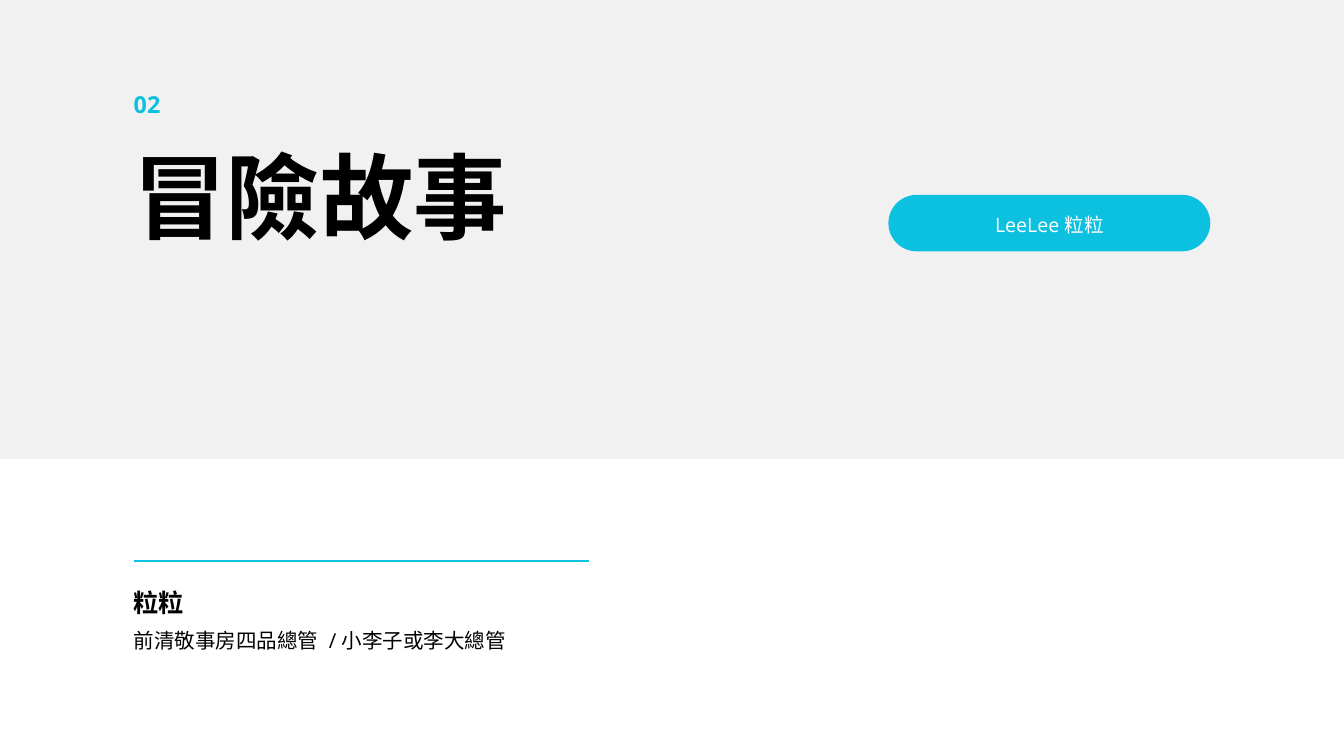
from pptx import Presentation
from pptx.dml.color import RGBColor
from pptx.enum import shapes, text
from pptx.oxml import ns
from pptx.util import Inches, Pt
from lxml import etree

COLORS = {"band": "F1F1F1", "accent": "0CC0DF", "ink": "000000", "white": "FFFFFF"}
FONT = "Open Sans"
LEFT = 1.99
COLUMN = 6.78


def rgb(name):
    return RGBColor.from_string(COLORS[name])


def write(box, wording, size, leading, color="ink", bold=False, align="LEFT"):
    """Set one line of text with exact line spacing and no margins."""
    frame = box.text_frame
    frame.text = wording
    frame.word_wrap = True
    frame.auto_size = text.MSO_AUTO_SIZE.NONE
    frame.vertical_anchor = text.MSO_ANCHOR.TOP
    frame.margin_left = frame.margin_right = 0
    frame.margin_top = frame.margin_bottom = 0
    paragraph = frame.paragraphs[0]
    paragraph.alignment = getattr(text.PP_ALIGN, align)
    paragraph.line_spacing = Pt(leading)
    paragraph.space_before = Pt(0)
    font = paragraph.runs[0].font
    font.name, font.size, font.bold = FONT, Pt(size), bold
    font.color.rgb = rgb(color)
    east_asian = etree.SubElement(paragraph.runs[0].font._element, ns.qn("a:ea"))
    east_asian.set("typeface", FONT)


prs = Presentation()
prs.slide_width, prs.slide_height = Inches(20), Inches(11.25)
slide = prs.slides.add_slide(prs.slide_layouts[5])

# Grey band and rounded name tag
for kind, place, color in [
    (shapes.MSO_SHAPE.RECTANGLE, (0, 0, 20, 6.83), "band"),
    (shapes.MSO_SHAPE.ROUNDED_RECTANGLE, (13.22, 2.9, 4.79, 0.84), "accent"),
]:
    panel = slide.shapes.add_shape(kind, *map(Inches, place))
    panel.shadow.inherit = False
    panel.fill.solid()
    panel.fill.fore_color.rgb = rgb(color)
    panel.line.fill.background()
panel.adjustments[0] = 0.5

# The title goes in front of the band
title = slide.shapes.title
title.element.getparent().append(title.element)
title.left, title.top = Inches(LEFT), Inches(2.21)
title.width, title.height = Inches(10), Inches(1.56)
write(title, "冒險故事", 100, 110, bold=True)

for place, wording, size, leading, style in [
    ((13.66, 3.11, 3.91, 0.39), "LeeLee 粒粒", 21, 29.4,
     {"color": "white", "align": "CENTER"}),
    ((LEFT, 1.38, 0.62, 0.39), "02", 25, 27.5, {"color": "accent", "bold": True}),
    ((LEFT, 8.67, COLUMN, 0.5), "粒粒", 27, 37.8, {"bold": True}),
    ((LEFT, 9.29, COLUMN, 0.41), "前清敬事房四品總管  / 小李子或李大總管", 22, 30.8, {}),
]:
    write(slide.shapes.add_textbox(*map(Inches, place)), wording, size, leading, **style)

rule = slide.shapes.add_connector(
    shapes.MSO_CONNECTOR.STRAIGHT,
    Inches(LEFT), Inches(8.35), Inches(LEFT + COLUMN), Inches(8.35))
rule.line.color.rgb = rgb("accent")
rule.line.width = Pt(1.5)
etree.SubElement(rule.element.spPr, ns.qn("a:effectLst"))

prs.save("out.pptx")
